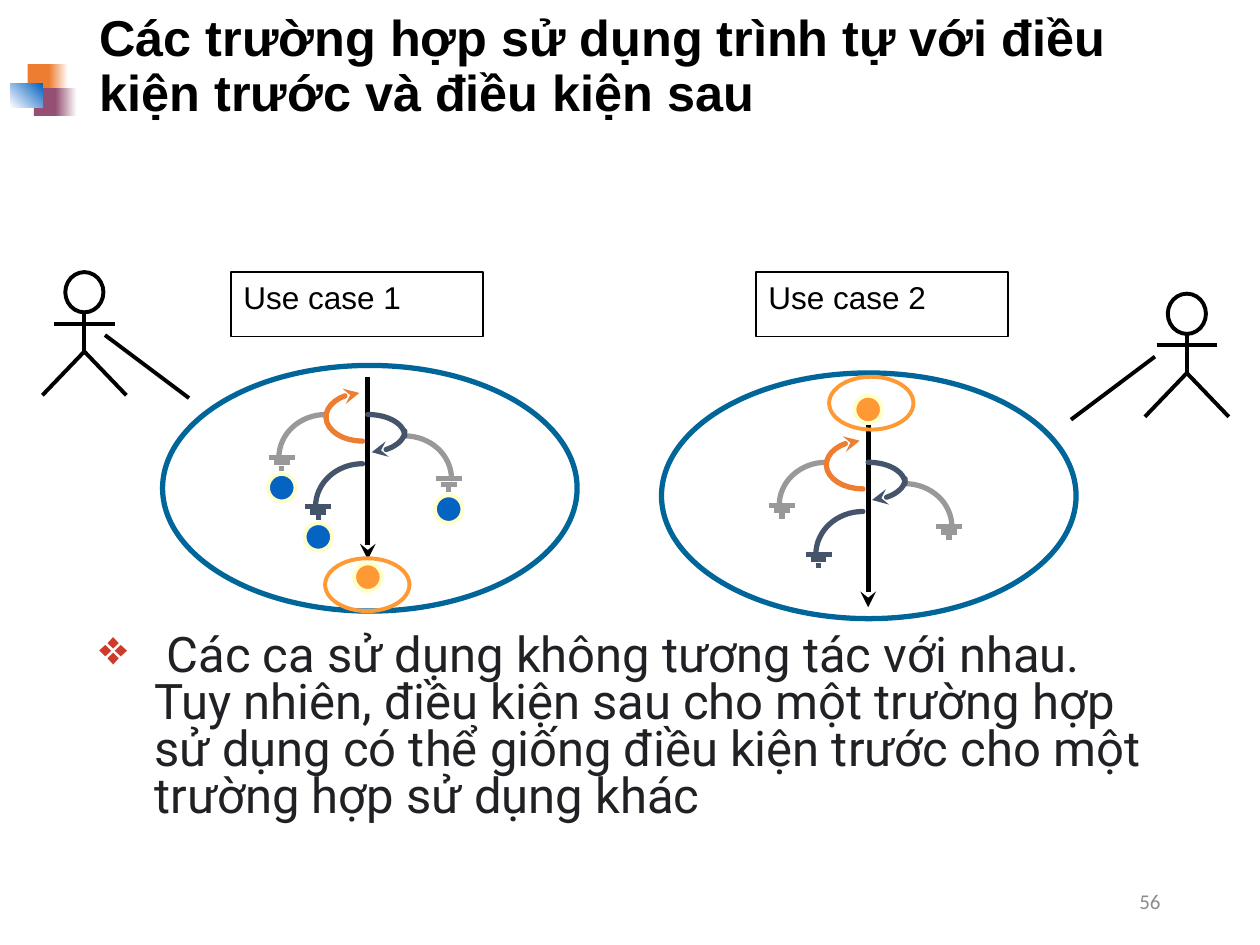
from math import cos, radians, sin

from lxml.etree import SubElement
from pptx import Presentation
from pptx.dml.color import RGBColor
from pptx.enum.shapes import MSO_CONNECTOR as Connector, MSO_SHAPE as Shape
from pptx.enum.text import MSO_ANCHOR as Anchor, MSO_AUTO_SIZE as AutoSize, PP_ALIGN as Align
from pptx.oxml.ns import qn
from pptx.util import Pt

TITLE = "Các trường hợp sử dụng trình tự với điều kiện trước và điều kiện sau"
BODY = (" Các ca sử dụng không tương tác với nhau. Tuy nhiên, điều kiện sau cho một "
        "trường hợp sử dụng có thể giống điều kiện trước cho một trường hợp sử dụng khác")
PAGE_NUMBER = "56"

BLACK, GREY, SLATE, ORANGE = "000000", "999999", "44546A", "ED7D31"
AMBER, BLUE, TEAL, PLUM, WHITE = "FF9933", "0563C1", "006699", "954F72", "FFFFFF"
CREAM = "FFFFCC"

EMBLEM = [
    ((15.8, 36.7, 14.4, 15.8), [ORANGE], 0),
    ((28.1, 36.7, 10.8, 15.8), [ORANGE, WHITE], 0),
    ((19.4, 50.4, 13.7, 15.8), [PLUM], 0),
    ((31.7, 50.4, 12.2, 15.8), [PLUM, WHITE], 0),
    ((5.8, 47.5, 18.7, 13.7), [WHITE, BLUE], 45),
]
USE_CASES = [
    dict(label="Use case 1", label_left=132, axis=(210.2, 215.3), oval=(92.9, 208.8),
         ring=(185.8, 319), state_offset=114.5, ends=True),
    dict(label="Use case 2", label_left=432, axis=(496.1, 242.6), oval=(378, 213.1),
         ring=(473.8, 215.3), state_offset=-8.6, ends=False),
]
LOOPS = [
    ((-3, 23), (20.9, 13.8), (90, 265), ORANGE, True),
    ((0, 33.8), (21.1, 12.2), (-90, 0), SLATE, False),
    ((0, 31), (21.1, 12.2), (0, 84), SLATE, True),
]
BRANCHES = [
    ((20.9, 58.3), (-90, 0), GREY),
    ((-23.9, 46.1), (270, 180), GREY),
    ((-3, 74.2), (270, 180), SLATE),
]
BRANCH_RADII = (26.9, 24.5)
GROUND_BARS = [(7.4, 0), (4.5, 3.1), (1.5, 6.2)]
ACTORS = [((48.2, 155.5), (60, 191.5, 108, 227.5)),
          ((678.2, 167.8), (660, 203.8, 612, 239.8))]


def color(value):
    return RGBColor.from_string(value)


def set_line(item, value, width, arrow=False, rounded=False):
    item.line.color.rgb = color(value)
    item.line.width = Pt(width)
    outline = item.line._get_or_add_ln()
    if rounded:
        outline.set("cap", "rnd")
    if arrow:
        SubElement(outline, qn("a:tailEnd"), type="stealth")


def add_line(page, ends, value, width, arrow=False):
    line = page.shapes.add_connector(Connector.STRAIGHT, *map(Pt, ends))
    set_line(line, value, width, arrow)
    SubElement(line._element.spPr, qn("a:effectLst"))


def add_path(page, points, value, width, arrow=False, rounded=False):
    points = [(Pt(x), Pt(y)) for x, y in points]
    builder = page.shapes.build_freeform(*points[0])
    builder.add_line_segments(points[1:], close=False)
    path = builder.convert_to_shape()
    path.fill.background()
    path.shadow.inherit = False
    set_line(path, value, width, arrow, rounded)


def add_arc(page, center, radii, angles, value, arrow=False):
    steps = 16
    turns = [radians(angles[0] + (angles[1] - angles[0]) * i / steps) for i in range(steps + 1)]
    points = [(center[0] + radii[0] * cos(t), center[1] + radii[1] * sin(t)) for t in turns]
    add_path(page, points, value, 3, arrow, True)
    return points[-1]


def add_figure(page, kind, frame, fills=(), outline=None, width=2.25, angle=0):
    figure = page.shapes.add_shape(kind, *map(Pt, frame))
    figure.shadow.inherit = False
    if len(fills) > 1:
        figure.fill.gradient()
        figure.fill.gradient_angle = angle
        for stop, value in zip(figure.fill.gradient_stops, fills):
            stop.color.rgb = color(value)
    elif fills:
        figure.fill.solid()
        figure.fill.fore_color.rgb = color(fills[0])
    else:
        figure.fill.background()
    if outline:
        set_line(figure, outline, width)
    else:
        figure.line.fill.background()
    return figure


def add_dot(page, x, y, value):
    add_figure(page, Shape.FLOWCHART_CONNECTOR, (x - 7.9, y - 7.9, 15.8, 15.8), [value], CREAM)


def write(box, text, size, font, value, align=Align.LEFT, anchor=Anchor.TOP):
    frame = box.text_frame
    frame.word_wrap = True
    frame.auto_size = AutoSize.NONE
    frame.vertical_anchor = anchor
    para = frame.paragraphs[0]
    para.add_run().text = text
    para.alignment = align
    para.font.size, para.font.name = Pt(size), font
    para.font.color.rgb = color(value)
    return para


def add_actor(page, head, link):
    x, y = head
    add_figure(page, Shape.OVAL, (x - 10.9, y, 21.8, 23), outline=BLACK)
    add_line(page, (x, y + 23.5, x, y + 45.4), BLACK, 2.25)
    add_line(page, (x - 17.3, y + 29.5, x + 17.3, y + 29.5), BLACK, 2.25)
    add_path(page, [(x - 24, y + 70.4), (x, y + 45.4), (x + 24, y + 70.4)], BLACK, 2.25)
    add_line(page, link, BLACK, 2.25)


def add_use_case(page, case):
    x, y = case["axis"]
    for (dx, dy), angles, value in BRANCHES:
        foot_x, foot_y = add_arc(page, (x + dx, y + dy), BRANCH_RADII, angles, value)
        foot_x += 1.6 if angles[1] == 180 else -1.6
        for half, drop in GROUND_BARS:
            add_line(page, (foot_x - half, foot_y + drop, foot_x + half, foot_y + drop), value, 3)
        if case["ends"]:
            add_dot(page, foot_x, foot_y + 17.3, BLUE)
    add_dot(page, x, y + case["state_offset"], AMBER)
    add_line(page, (x, y, x, y + 104.4), BLACK, 3, True)
    for (dx, dy), radii, angles, value, arrow in LOOPS:
        add_arc(page, (x + dx, y + dy), radii, angles, value, arrow)
    add_figure(page, Shape.OVAL, (*case["oval"], 236.9, 140.4), outline=TEAL, width=3)
    add_figure(page, Shape.OVAL, (*case["ring"], 48.2, 30.2), outline=AMBER)
    label = add_figure(page, Shape.RECTANGLE, (case["label_left"], 155.5, 144, 36.7),
                       outline=BLACK, width=0.75)
    write(label, case["label"], 18, "Arial", BLACK)


def main():
    """Build the use case sequence slide."""
    deck = Presentation()
    deck.slide_width, deck.slide_height = Pt(720), Pt(540)
    page = deck.slides.add_slide(deck.slide_layouts[5])
    for frame, fills, angle in EMBLEM:
        add_figure(page, Shape.RECTANGLE, frame, fills, angle=angle)

    title = page.shapes.title
    title.left, title.top, title.width, title.height = map(Pt, (49.7, 9.4, 620.6, 58.3))
    para = write(title, TITLE, 28.8, "Arial", BLACK, anchor=Anchor.MIDDLE)
    para.font.bold = True
    para.line_spacing = 0.9

    number = page.shapes.add_textbox(*map(Pt, (508.3, 500.4, 162, 28.8)))
    write(number, PAGE_NUMBER, 12, "Calibri", "8C8C8C", Align.RIGHT, Anchor.MIDDLE)

    for actor in ACTORS:
        add_actor(page, *actor)
    for case in USE_CASES:
        add_use_case(page, case)

    body = page.shapes.add_textbox(*map(Pt, (49.7, 359.3, 620.6, 115.2)))
    props = body.text_frame.paragraphs[0]._p.get_or_add_pPr()
    props.set("marL", str(Pt(31.5)))
    props.set("indent", str(-Pt(31.5)))
    bullet_color = SubElement(props, qn("a:buClr"))
    SubElement(bullet_color, qn("a:srgbClr"), val="CE3B2A")
    SubElement(props, qn("a:buChar"), char="❖")
    write(body, BODY, 28, "Roboto", "202124").line_spacing = 0.8
    deck.save("out.pptx")


if __name__ == "__main__":
    main()
